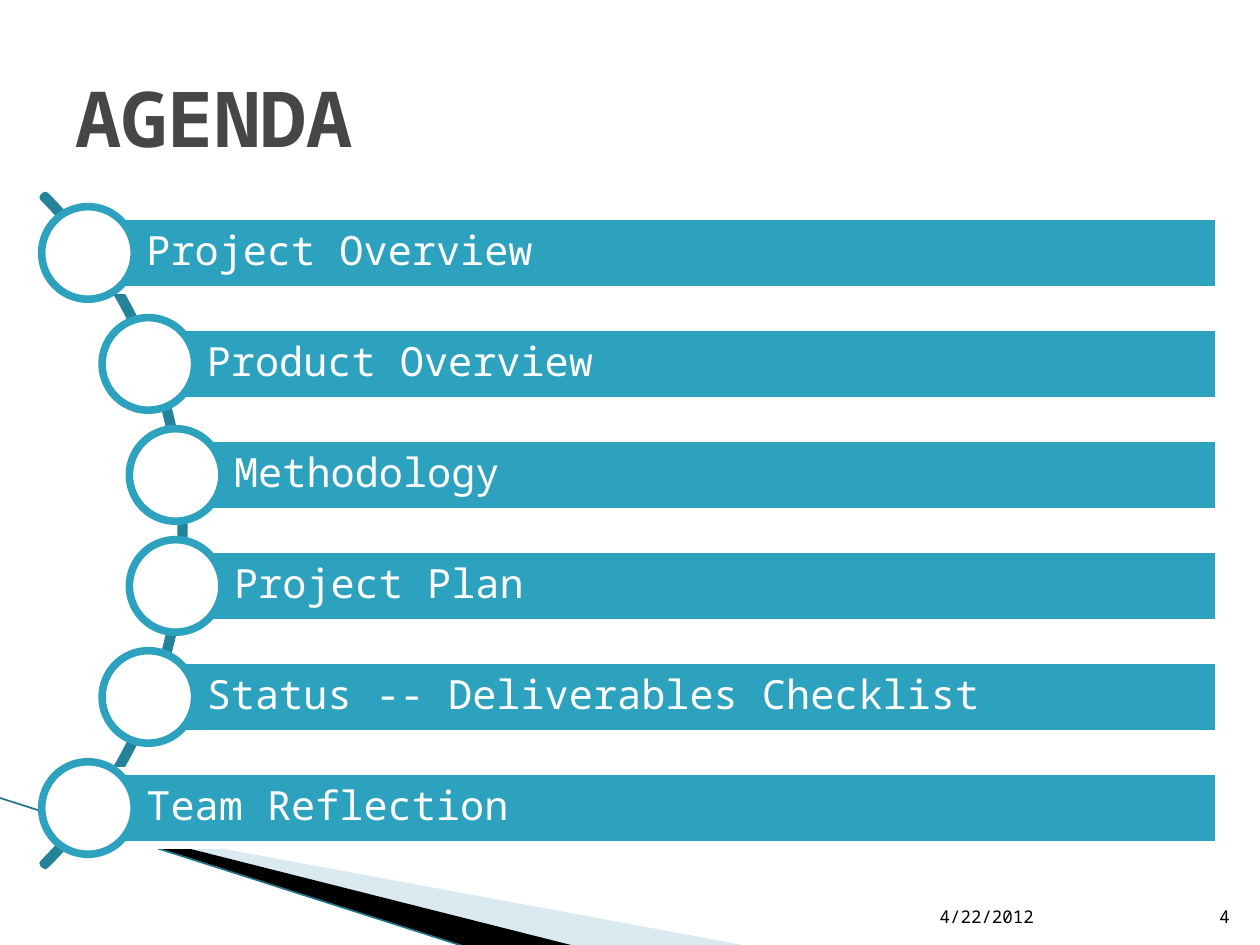
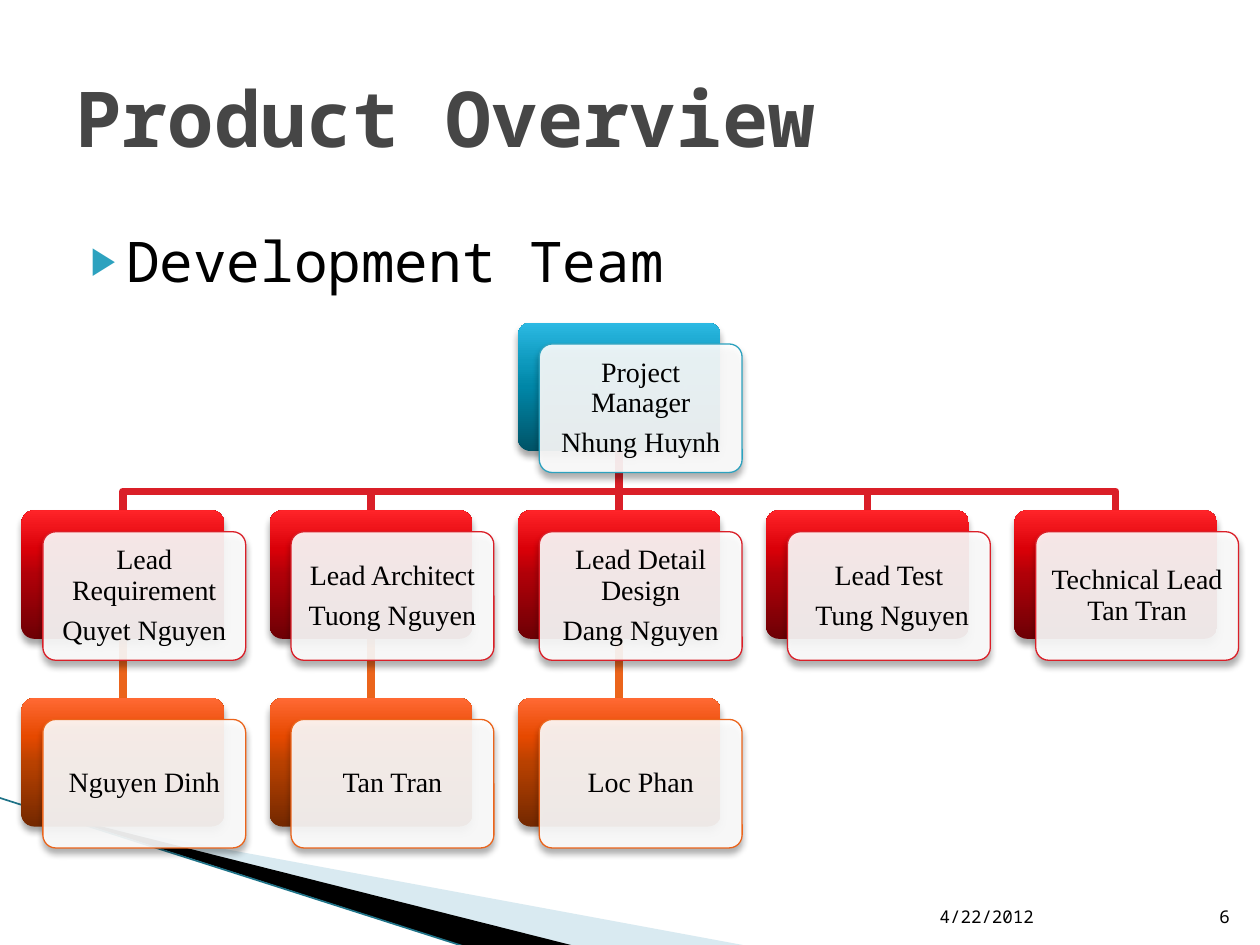
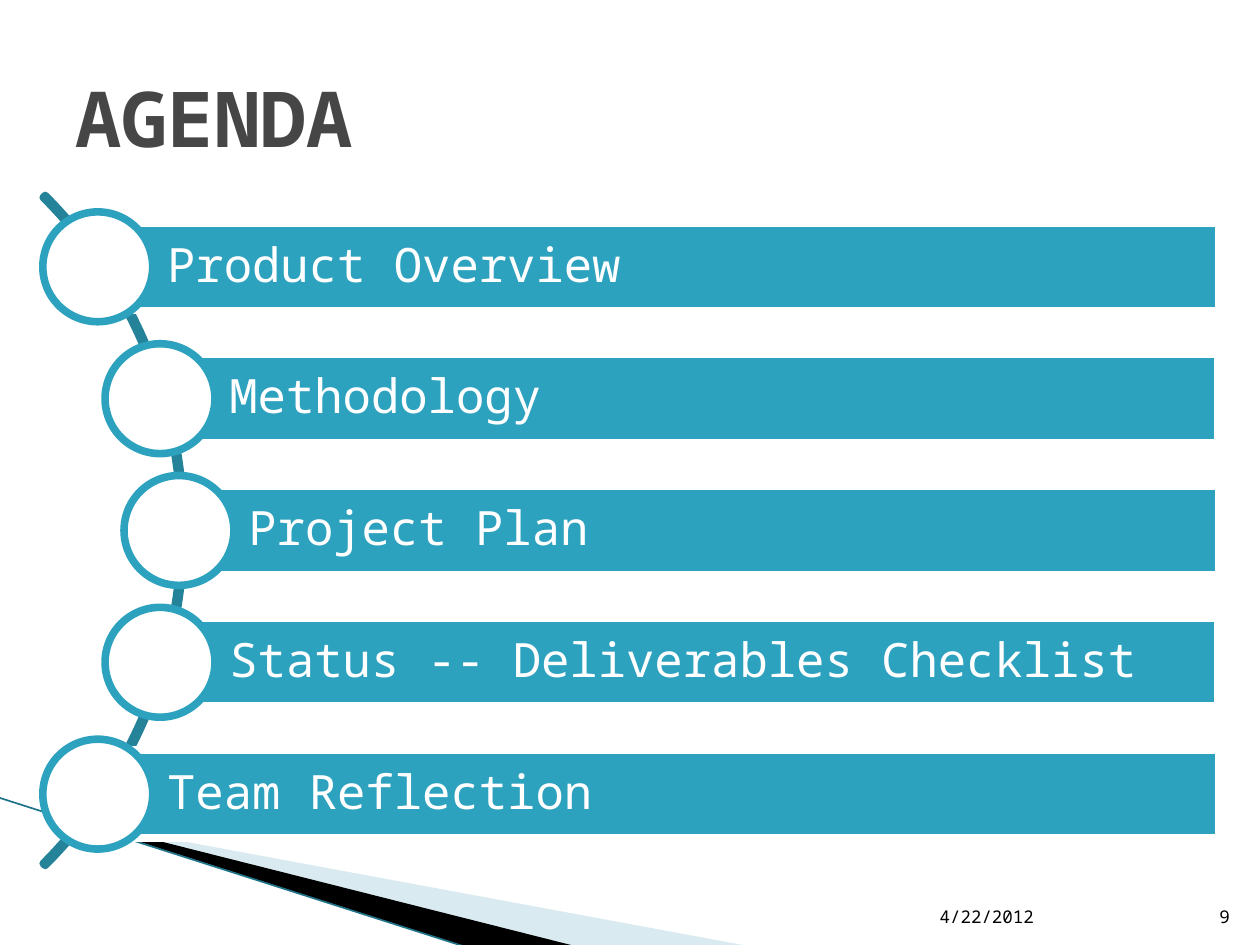
import math

from lxml import etree
from pptx import Presentation
from pptx import util as u
from pptx.dml.color import RGBColor
from pptx.enum import shapes, text
from pptx.oxml.ns import qn

AGENDA = [
    "Project Overview",
    "Product Overview",
    "Methodology",
    "Project Plan",
    "Status -- Deliverables Checklist",
    "Team Reflection",
]
DATE = "4/22/2012"
TEAM_HEADING = "Development Team"
MANAGER = ["Project Manager", "Nhung Huynh"]
BRANCHES = [
    (["Lead Requirement", "Quyet Nguyen"], ["Nguyen Dinh"]),
    (["Lead Architect", "Tuong Nguyen"], ["Tan Tran"]),
    (["Lead Detail Design", "Dang Nguyen"], ["Loc Phan"]),
    (["Lead Test", " Tung Nguyen"], None),
    (["Technical Lead Tan Tran"], None),
]

COLORS = {
    "title": "464646", "ink": "000000", "paper": "FFFFFF",
    "teal": "2DA2BF", "arc": "248299", "mist": "A0CBDC", "edge": "1F7388",
    "red": "DA1F28", "orange": "EB641B",
}
LEVEL_COLORS = ["teal", "red", "orange"]
GRADIENTS = {
    "teal": ["005367", "0086A7", "0E9ABE", "2CB9E3"],
    "red": ["6D0005", "B00008", "DA0008", "FF2429"],
    "orange": ["732800", "B94100", "E64900", "FF6933"],
}
GRADIENT_STOPS = [0, 50, 70, 100]
MONO, SERIF = "Noto Sans Mono", "Times New Roman"
THICK = 4.33

ARC_X, ARC_Y, ARC_RADIUS, PATH_RADIUS = -2.3, 4.21, 3.76, 3.72
LIST_HEIGHT, LIST_RIGHT = 5.58, 9.67

CARD_W, CARD_H = 1.61, 1.02
COLUMN_STEP, LEVEL_STEP = 1.97, 1.49
CHART_LEFT, CHART_TOP = 0.17, 2.56
CARD_SHIFT = 0.17
BEND = 0.15
MANAGER_COLUMN = 2


def color(name):
    return RGBColor.from_string(COLORS[name])


def inches(*lengths):
    return [u.Inches(length) for length in lengths]


def style(paragraph, size, ink, font=MONO, align=text.PP_ALIGN.LEFT, bold=False):
    paragraph.alignment = align
    paragraph.font.size = u.Pt(size)
    paragraph.font.name = font
    paragraph.font.bold = bold
    paragraph.font.color.rgb = color(ink)


def paint(shape, fill=None, line=None, width=THICK, alpha=None):
    shape.shadow.inherit = False
    if fill:
        shape.fill.solid()
        shape.fill.fore_color.rgb = color(fill)
    else:
        shape.fill.background()
    if alpha:
        tint = shape.element.spPr.find(qn("a:solidFill"))[0]
        etree.SubElement(tint, qn("a:alpha"), val=str(alpha * 1000))
    if line:
        shape.line.color.rgb = color(line)
        shape.line.width = u.Pt(width)
    else:
        shape.line.fill.background()
    return shape


def add(slide, kind, box, **look):
    return paint(slide.shapes.add_shape(kind, *inches(*box)), **look)


def outline(slide, points, closed, **look):
    start, *rest = [inches(*point) for point in points]
    builder = slide.shapes.build_freeform(*start)
    builder.add_line_segments(rest, close=closed)
    return paint(builder.convert_to_shape(), **look)


def connect(slide, start, end, line, width=THICK):
    connector = slide.shapes.add_connector(
        shapes.MSO_CONNECTOR.STRAIGHT, *inches(*start, *end))
    connector.line.color.rgb = color(line)
    connector.line.width = u.Pt(width)
    etree.SubElement(connector.element.spPr, qn("a:effectLst"))
    return connector


def place(shape, box, anchor):
    shape.left, shape.top, shape.width, shape.height = inches(*box)
    shape.text_frame.auto_size = text.MSO_AUTO_SIZE.NONE
    shape.text_frame.word_wrap = True
    shape.text_frame.vertical_anchor = anchor


def new_slide(deck, layout, title, number):
    slide = deck.slides.add_slide(deck.slide_layouts[layout])
    slide.shapes.title.text = title
    place(slide.shapes.title, (0.5, 0.3, 9, 1.25), text.MSO_ANCHOR.MIDDLE)
    style(slide.shapes.title.text_frame.paragraphs[0], 44, "title", bold=True)

    outline(slide, [(0.55, 6.51), (5.95, 7.51), (4.56, 7.51), (0.55, 6.5)],
            True, fill="mist", alpha=40)
    outline(slide, [(0.53, 6.49), (4.57, 7.51), (3.72, 7.52), (0.54, 6.5)],
            True, fill="ink")
    connect(slide, (-0.01, 6.33), (3.71, 7.52), "edge", 0.95)

    for words, left, width, align in (
            (DATE, 7.36, 2.1, text.PP_ALIGN.LEFT),
            (str(number), 9.46, 0.4, text.PP_ALIGN.RIGHT)):
        box = (left, 7.01, width, 0.4)
        footer = slide.shapes.add_textbox(*inches(*box))
        footer.text_frame.text = words
        place(footer, box, text.MSO_ANCHOR.BOTTOM)
        style(footer.text_frame.paragraphs[0], 10, "ink", align=align)
    return slide


def agenda_slide(deck, number, topics):
    slide = new_slide(deck, 5, "AGENDA", number)
    arc = add(slide, shapes.MSO_SHAPE.BLOCK_ARC,
              (ARC_X - ARC_RADIUS, ARC_Y - ARC_RADIUS, 2 * ARC_RADIUS, 2 * ARC_RADIUS),
              line="arc")
    for index, value in enumerate((189, 27, 0.003)):
        arc.adjustments[index] = value

    bar_h = LIST_HEIGHT / (1.5 * len(topics) + 0.5)
    ring = 1.25 * bar_h
    for row, topic in enumerate(topics):
        offset = (row - (len(topics) - 1) / 2) * 1.5 * bar_h
        x = ARC_X + math.sqrt(PATH_RADIUS ** 2 - offset ** 2)
        y = ARC_Y + offset
        bar = add(slide, shapes.MSO_SHAPE.RECTANGLE,
                  (x, y - bar_h / 2, LIST_RIGHT - x, bar_h), fill="teal", line="paper")
        frame = bar.text_frame
        frame.text = topic
        frame.vertical_anchor = text.MSO_ANCHOR.MIDDLE
        frame.margin_left = u.Inches(0.79 * bar_h)
        frame.margin_top = frame.margin_right = frame.margin_bottom = u.Inches(0.1 * bar_h)
        frame.paragraphs[0].line_spacing = 0.9
        style(frame.paragraphs[0], round(39 * bar_h), "paper")
        add(slide, shapes.MSO_SHAPE.OVAL, (x - ring / 2, y - ring / 2, ring, ring),
            fill="paper", line="teal")


def corner(column, level):
    return CHART_LEFT + column * COLUMN_STEP, CHART_TOP + level * LEVEL_STEP


def top_middle(column, level):
    left, top = corner(column, level)
    return left + CARD_W / 2, top


def bottom_middle(column, level):
    x, top = top_middle(column, level)
    return x, top + CARD_H


def soften(shape):
    effects = shape.element.spPr.find(qn("a:effectLst"))
    shadow = etree.SubElement(effects, qn("a:outerShdw"), blurRad=str(u.Pt(4)),
                              dist=str(u.Pt(3)), dir="5400000", rotWithShape="0")
    shade = etree.SubElement(shadow, qn("a:srgbClr"), val=COLORS["ink"])
    etree.SubElement(shade, qn("a:alpha"), val="35000")


def add_card(slide, column, level, lines):
    left, top = corner(column, level)
    hue = LEVEL_COLORS[level]
    back = add(slide, shapes.MSO_SHAPE.ROUNDED_RECTANGLE, (left, top, CARD_W, CARD_H))
    back.fill.gradient()
    back.fill.gradient_angle = 90
    stops = back.element.spPr.find(qn("a:gradFill")).find(qn("a:gsLst"))
    for stop in list(stops):
        stops.remove(stop)
    for position, shade in zip(GRADIENT_STOPS, GRADIENTS[hue]):
        stop = etree.SubElement(stops, qn("a:gs"), pos=str(position * 1000))
        etree.SubElement(stop, qn("a:srgbClr"), val=shade)

    front = add(slide, shapes.MSO_SHAPE.ROUNDED_RECTANGLE,
                (left + CARD_SHIFT, top + CARD_SHIFT, CARD_W, CARD_H),
                fill="paper", alpha=90, line=hue, width=0.75)
    for layer in (back, front):
        layer.adjustments[0] = 0.1
        soften(layer)
    frame = front.text_frame
    frame.text = "\n".join(lines)
    frame.vertical_anchor = text.MSO_ANCHOR.MIDDLE
    frame.margin_left = frame.margin_right = u.Inches(0.07)
    frame.margin_top = frame.margin_bottom = u.Inches(0.07)
    for paragraph in frame.paragraphs:
        paragraph.line_spacing = 0.9
        paragraph.space_after = u.Pt(5.6)
        style(paragraph, 16, "ink", SERIF, text.PP_ALIGN.CENTER)
    return back


def team_slide(deck, number):
    slide = new_slide(deck, 1, "Product Overview", number)
    body = slide.placeholders[1]
    body.text = TEAM_HEADING
    place(body, (0.5, 1.75, 9, 5.33), text.MSO_ANCHOR.TOP)
    heading = body.text_frame.paragraphs[0]
    heading.space_before = u.Pt(4)
    props = heading._p.get_or_add_pPr()
    props.set("marL", str(u.Inches(0.4)))
    props.set("indent", str(u.Inches(-0.28)))
    bullet_color = etree.SubElement(props, qn("a:buClr"))
    etree.SubElement(bullet_color, qn("a:srgbClr"), val=COLORS["teal"])
    etree.SubElement(props, qn("a:buSzPct"), val="68000")
    etree.SubElement(props, qn("a:buChar"), char="▶")
    style(heading, 32, "ink")

    cards = {(MANAGER_COLUMN, 0): MANAGER}
    for column, (lead, member) in enumerate(BRANCHES):
        cards[column, 1] = lead
        if member:
            cards[column, 2] = member

    links = []
    for column, level in cards:
        if level == 0:
            continue
        parent = (MANAGER_COLUMN if level == 1 else column, level - 1)
        start, end = bottom_middle(*parent), top_middle(column, level)
        hue = LEVEL_COLORS[level]
        if parent[0] == column:
            links.append((connect(slide, start, end, hue), parent, (column, level)))
        else:
            bend = end[1] - BEND
            outline(slide, [start, (start[0], bend), (end[0], bend), end],
                    False, line=hue)

    backs = {spot: add_card(slide, *spot, lines) for spot, lines in cards.items()}
    for link, parent, child in links:
        link.begin_connect(backs[parent], 2)
        link.end_connect(backs[child], 0)


def main():
    deck = Presentation()
    deck.slide_width, deck.slide_height = inches(10, 7.5)
    agenda_slide(deck, 4, AGENDA)
    team_slide(deck, 6)
    agenda_slide(deck, 9, AGENDA[1:])
    deck.save("out.pptx")


if __name__ == "__main__":
    main()
